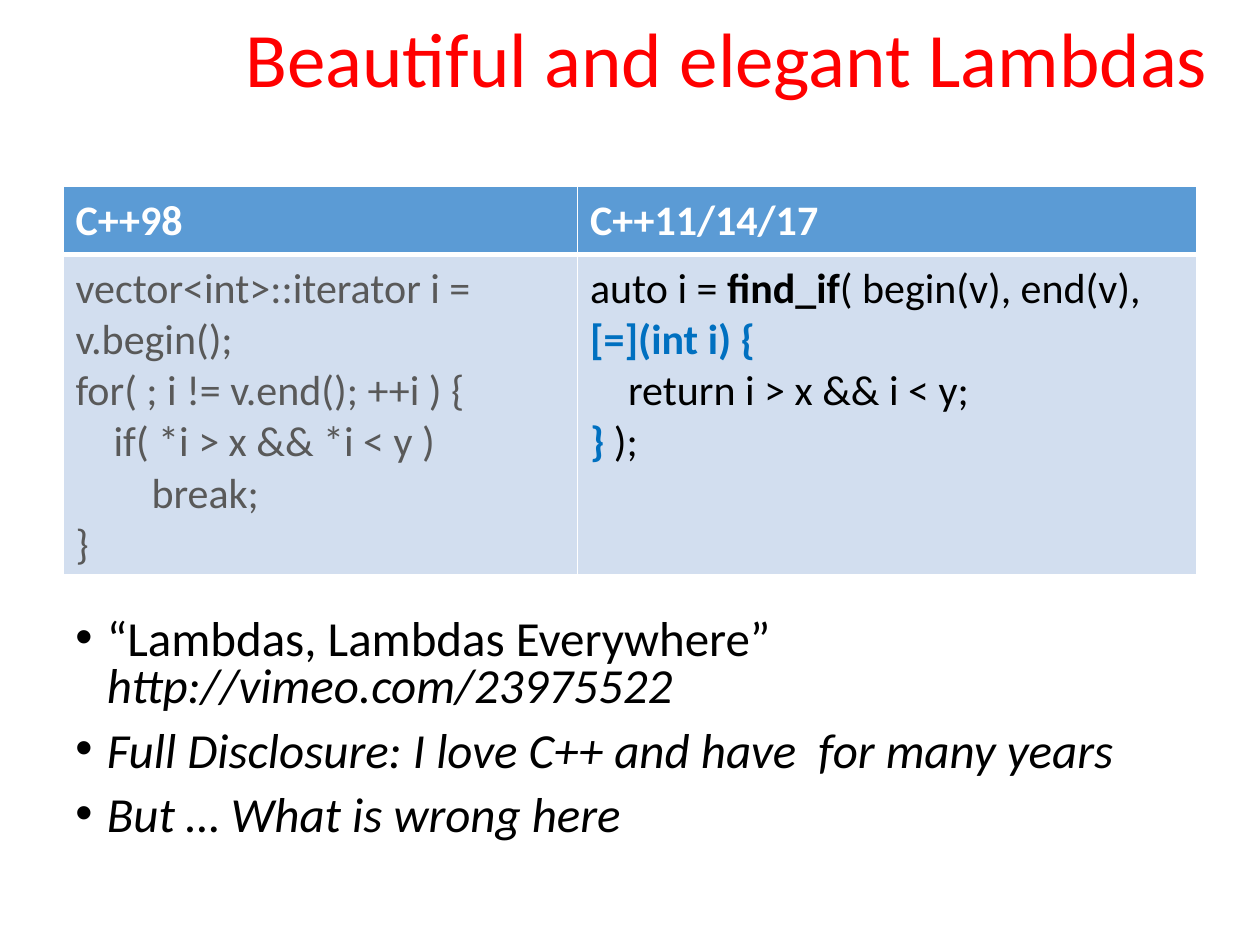
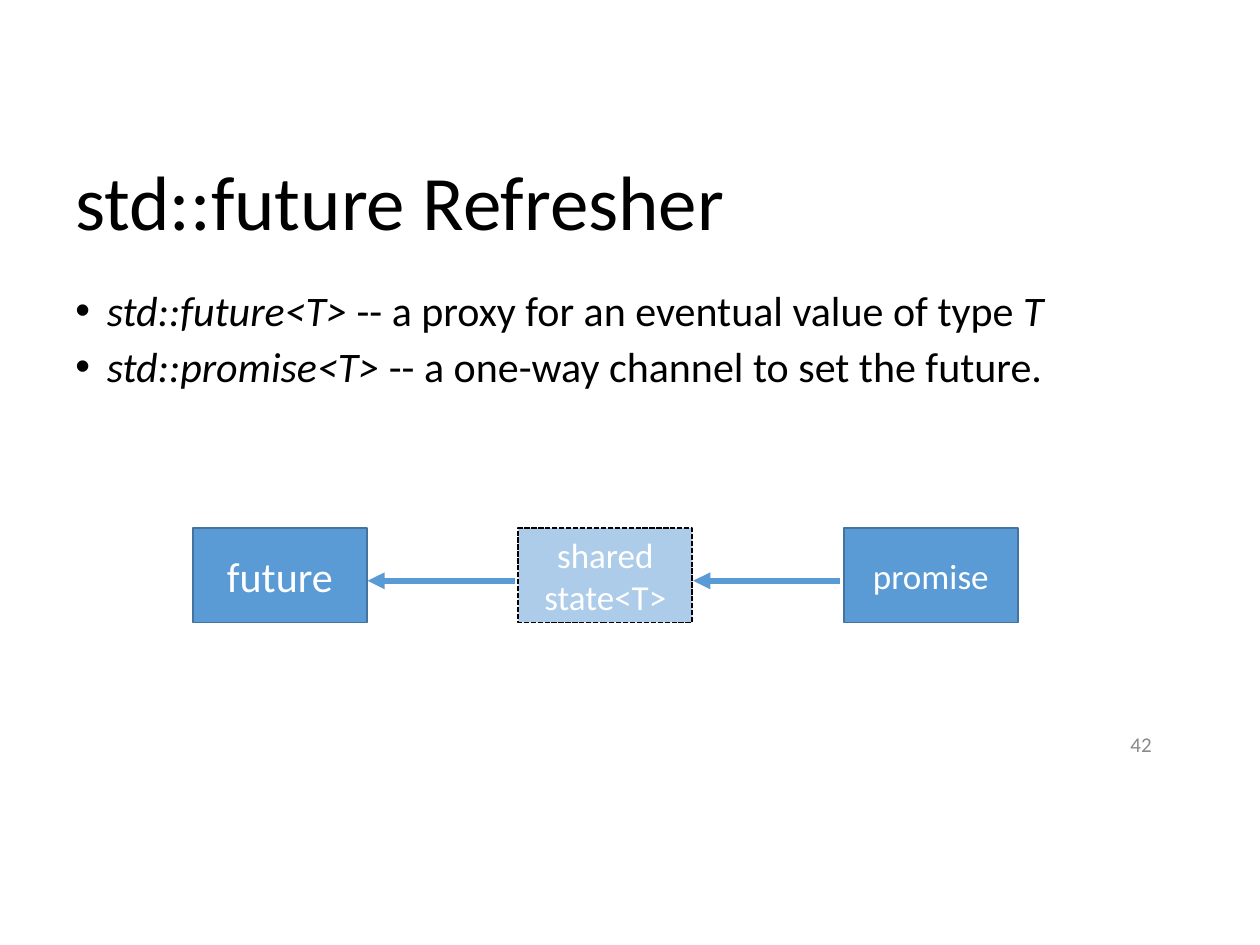
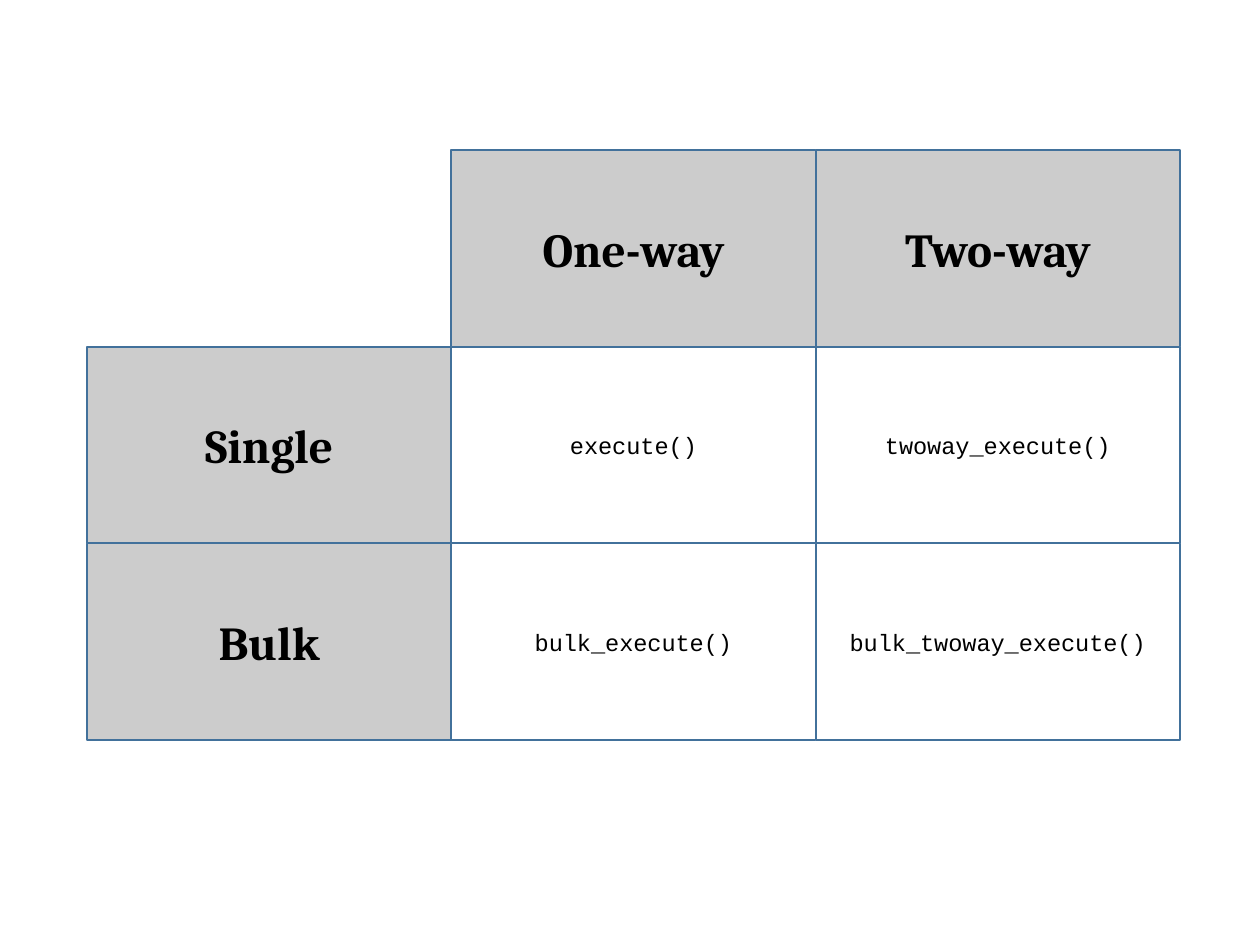
import dataclasses

import lxml.etree
import pptx
import pptx.dml.color
import pptx.enum.dml
import pptx.enum.shapes
import pptx.enum.text
import pptx.oxml.ns
import pptx.util

Pt = pptx.util.Pt
RGBColor = pptx.dml.color.RGBColor
Align = pptx.enum.text.PP_ALIGN
Anchor = pptx.enum.text.MSO_ANCHOR

BLACK = RGBColor(0x00, 0x00, 0x00)
WHITE = RGBColor(0xFF, 0xFF, 0xFF)
RED = RGBColor(0xFF, 0x00, 0x00)
BLUE = RGBColor(0x5B, 0x9B, 0xD5)
BOX_EDGE = RGBColor(0x43, 0x73, 0x9E)
GRID_EDGE = RGBColor(0x42, 0x71, 0x9B)
PALE_BLUE = RGBColor(0xD2, 0xDE, 0xEF)
CODE_BLUE = RGBColor(0x00, 0x70, 0xC0)
CODE_GRAY = RGBColor(0x59, 0x59, 0x59)
NUMBER_GRAY = RGBColor(0x89, 0x89, 0x89)
HEADER_GRAY = RGBColor(0xCC, 0xCC, 0xCC)

BODY_LEFT = 36
BODY_WIDTH = 648
BULLET_INDENT = 18


@dataclasses.dataclass(frozen=True)
class Style:
    """Character formatting of a run."""
    size: float
    color: RGBColor = BLACK
    bold: bool = False
    italic: bool = False
    font: str = "Calibri"


@dataclasses.dataclass(frozen=True)
class Layout:
    """Paragraph formatting and anchoring of a text frame."""
    align: Align = Align.LEFT
    anchor: Anchor = Anchor.TOP
    line_spacing: float = 1.0
    space_before: float = 0
    bulleted: bool = False


CENTERED = Layout(align=Align.CENTER, anchor=Anchor.MIDDLE)


def add_element(parent, tag, **attributes):
    """Append a DrawingML element to parent and return it."""
    return lxml.etree.SubElement(parent, pptx.oxml.ns.qn(tag), attributes)


def add_runs(paragraph, runs):
    """Add styled runs, turning newlines into line breaks."""
    for text, style in runs:
        for index, line in enumerate(text.split("\n")):
            if index:
                paragraph.add_line_break()
            if not line:
                continue
            run = paragraph.add_run()
            run.text = line
            run.font.name = style.font
            run.font.size = Pt(style.size)
            run.font.bold = style.bold
            run.font.italic = style.italic
            run.font.color.rgb = style.color


def add_bullet(paragraph):
    """Give the paragraph a hanging round bullet."""
    properties = paragraph._p.get_or_add_pPr()
    properties.set("marL", str(Pt(BULLET_INDENT)))
    properties.set("indent", str(-Pt(BULLET_INDENT)))
    add_element(properties, "a:buFont", typeface="Arial")
    add_element(properties, "a:buChar", char="•")


def write_text(frame, paragraphs, layout):
    """Write paragraphs, each a list of runs, into a text frame."""
    frame.word_wrap = True
    frame.vertical_anchor = layout.anchor
    for index, runs in enumerate(paragraphs):
        paragraph = frame.add_paragraph() if index else frame.paragraphs[0]
        if layout.bulleted:
            add_bullet(paragraph)
        paragraph.alignment = layout.align
        paragraph.line_spacing = layout.line_spacing
        paragraph.space_before = Pt(layout.space_before if index else 0)
        add_runs(paragraph, runs)


def add_text(slide, left, top, width, height, paragraphs, layout):
    """Add a text box."""
    box = slide.shapes.add_textbox(Pt(left), Pt(top), Pt(width), Pt(height))
    write_text(box.text_frame, paragraphs, layout)


def add_title(slide, left, top, width, height, text, color=BLACK, anchor=Anchor.TOP):
    """Add a slide title."""
    layout = Layout(anchor=anchor, line_spacing=0.9)
    add_text(slide, left, top, width, height, [[(text, Style(44, color))]], layout)


def add_bullets(slide, top, height, paragraphs, line_spacing, space_before):
    """Add a bulleted body."""
    layout = Layout(line_spacing=line_spacing, space_before=space_before, bulleted=True)
    add_text(slide, BODY_LEFT, top, BODY_WIDTH, height, paragraphs, layout)


def add_box(slide, left, top, width, height, text, style, fill, edge):
    """Add a rectangle with a centred label."""
    shape = slide.shapes.add_shape(
        pptx.enum.shapes.MSO_SHAPE.RECTANGLE, Pt(left), Pt(top), Pt(width), Pt(height))
    shape.shadow.inherit = False
    shape.fill.solid()
    shape.fill.fore_color.rgb = fill
    shape.line.color.rgb = edge
    shape.line.width = Pt(1)
    write_text(shape.text_frame, [[(text, style)]], CENTERED)
    return shape


def make_shared(shape):
    """Make a box half transparent with a dashed outline."""
    color = shape._element.spPr.find(".//" + pptx.oxml.ns.qn("a:srgbClr"))
    add_element(color, "a:alpha", val="50000")
    shape.line.dash_style = pptx.enum.dml.MSO_LINE.SQUARE_DOT


def add_left_arrow(slide, left, top, length):
    """Add a horizontal arrow that points left."""
    arrow = slide.shapes.add_connector(
        pptx.enum.shapes.MSO_CONNECTOR.STRAIGHT, Pt(left), Pt(top), Pt(left + length), Pt(top))
    arrow.line.color.rgb = BLUE
    arrow.line.width = Pt(3.25)
    add_element(arrow.line._ln, "a:headEnd", type="triangle")
    add_element(arrow._element.spPr, "a:effectLst")


def set_borders(cell, bottom_width):
    """Draw white borders around a cell."""
    properties = cell._tc.get_or_add_tcPr()
    for side, width in (("L", 1), ("R", 1), ("T", 1), ("B", bottom_width)):
        line = add_element(properties, "a:ln" + side, w=str(Pt(width)))
        fill = add_element(line, "a:solidFill")
        add_element(fill, "a:srgbClr", val=str(WHITE))


def add_code_table(slide, top, widths, heights, rows):
    """Add a table with a blue header row and pale code cells."""
    table = slide.shapes.add_table(
        len(heights), len(widths), Pt(BODY_LEFT), Pt(top), Pt(sum(widths)), Pt(sum(heights))).table
    table.horz_banding = False
    for column, width in zip(table.columns, widths):
        column.width = Pt(width)
    for row_index, (row, height, contents) in enumerate(zip(table.rows, heights, rows)):
        row.height = Pt(height)
        for cell, paragraphs in zip(row.cells, contents):
            set_borders(cell, 1 if row_index else 3)
            cell.fill.solid()
            cell.fill.fore_color.rgb = PALE_BLUE if row_index else BLUE
            cell.margin_left = cell.margin_right = Pt(7.2)
            cell.margin_top = cell.margin_bottom = Pt(5)
            write_text(cell.text_frame, paragraphs, Layout())


def build_lambdas(slide):
    """Build the slide that compares a loop with a lambda."""
    add_title(slide, 133.2, 8.6, 567.4, 65.5, "Beautiful and elegant Lambdas", RED)
    plain, slanted = Style(28), Style(28, italic=True)
    add_bullets(slide, 350, 148, [
        [("“Lambdas, Lambdas Everywhere” ", plain), ("http://vimeo.com/23975522", slanted)],
        [("Full Disclosure: I love C++ and have  for many years", slanted)],
        [("But … What is wrong here", slanted)],
    ], 0.8, 10)
    header = Style(24, WHITE, bold=True)
    old, new = Style(24, CODE_GRAY), Style(24)
    strong, capture = Style(24, bold=True), Style(24, CODE_BLUE, bold=True)
    old_code = [
        "vector<int>::iterator i = v.begin();",
        "for( ; i != v.end(); ++i ) {",
        "    if( *i > x && *i < y )\n        break;",
        "}",
    ]
    new_code = [
        ("auto i = ", new), ("find_if", strong), ("( begin(v), end(v), ", new),
        ("[=](int i) {\n", capture), ("    return i > x && i < y; \n", new),
        ("}", capture), (" );", new),
    ]
    add_code_table(slide, 106.6, [294, 354], [38.2, 182.5], [
        [[[("C++98", header)]], [[("C++11/14/17", header)]]],
        [[[(line, old)] for line in old_code], [new_code]],
    ])


def build_future(slide):
    """Build the slide that links a future to its promise."""
    add_title(slide, BODY_LEFT, 83.5, BODY_WIDTH, 67.7, "std::future Refresher",
              anchor=Anchor.MIDDLE)
    plain, slanted = Style(24), Style(24, italic=True)
    add_bullets(slide, 162, 267, [
        [("std::future<T>", slanted), (" -- a proxy for an eventual value of type ", plain),
         ("T", slanted)],
        [("std::promise<T>", slanted), (" -- a one-way channel to set the future.", plain)],
    ], 0.9, 6.4)
    left, top, width, height, pitch = 110.2, 301.7, 99.4, 54, 186
    labels = [("future", 24), ("shared state<T>", 20), ("promise", 20)]
    boxes = [
        add_box(slide, left + index * pitch, top, width, height, text, Style(size, WHITE),
                BLUE, BLACK if text.startswith("shared") else BOX_EDGE)
        for index, (text, size) in enumerate(labels)
    ]
    make_shared(boxes[1])
    for index in range(2):
        add_left_arrow(slide, left + width + 0.5 + index * pitch, 331.9, 84)
    add_text(slide, 620.6, 414.7, 44.6, 21.6, [[("42", Style(12, NUMBER_GRAY))]],
             Layout(align=Align.RIGHT, anchor=Anchor.MIDDLE))


def build_execute_grid(slide):
    """Build the grid of execution functions."""
    left, top, width, height = 49.7, 85.7, 208.2, 112.4
    header = Style(27, bold=True, font="Cambria")
    code = Style(13.5, font="Courier New")
    grid = [
        ["", "One-way", "Two-way"],
        ["Single", "execute()", "twoway_execute()"],
        ["Bulk", "bulk_execute()", "bulk_twoway_execute()"],
    ]
    for column in reversed(range(3)):
        for row in reversed(range(3)):
            text = grid[row][column]
            if not text:
                continue
            is_header = row == 0 or column == 0
            add_box(slide, left + column * width, top + row * height, width, height, text,
                    header if is_header else code, HEADER_GRAY if is_header else WHITE, GRID_EDGE)


def main():
    """Build and save the presentation."""
    presentation = pptx.Presentation()
    presentation.slide_width = Pt(720)
    presentation.slide_height = Pt(540)
    for build in (build_lambdas, build_future, build_execute_grid):
        build(presentation.slides.add_slide(presentation.slide_layouts[6]))
    presentation.save("out.pptx")


if __name__ == "__main__":
    main()
